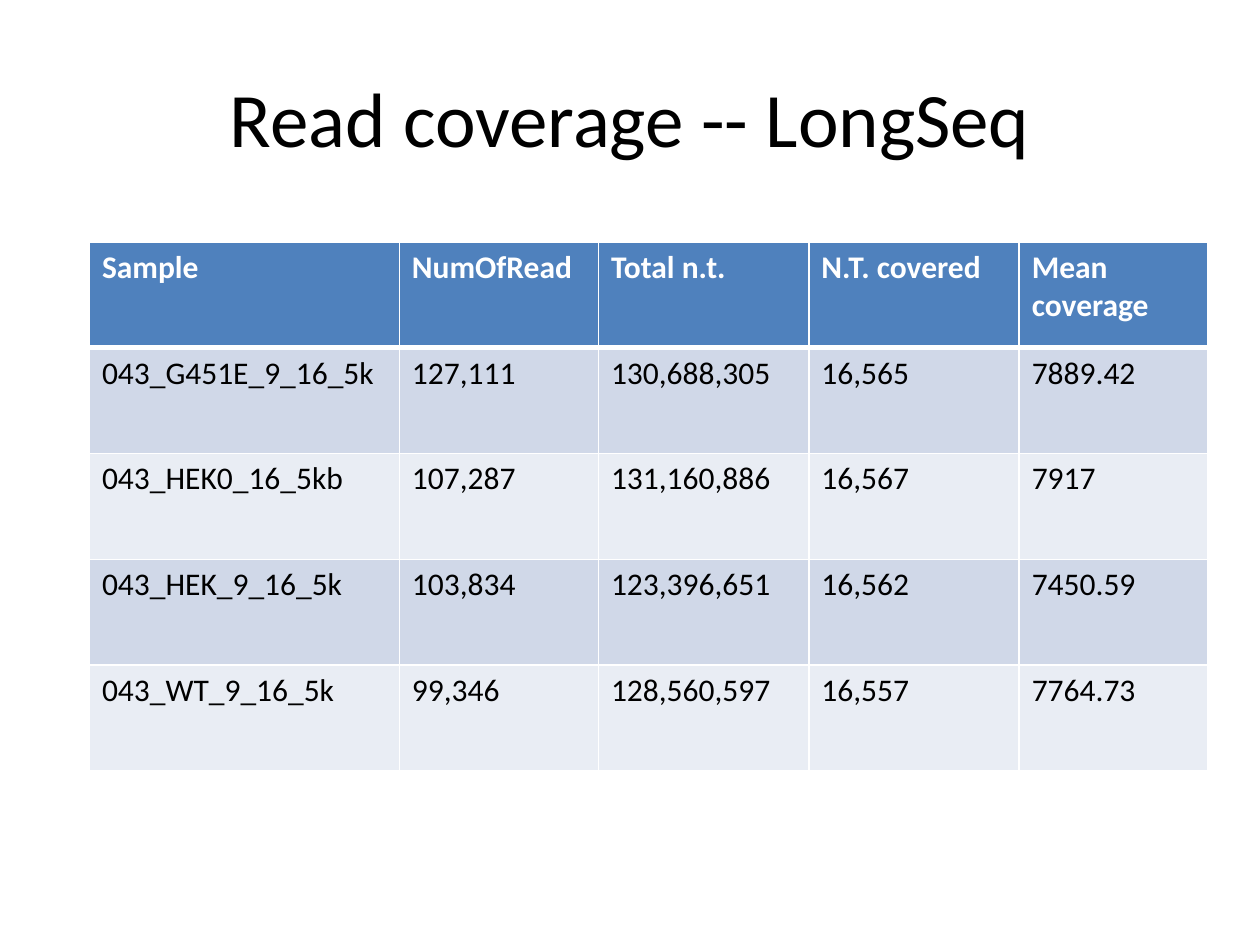
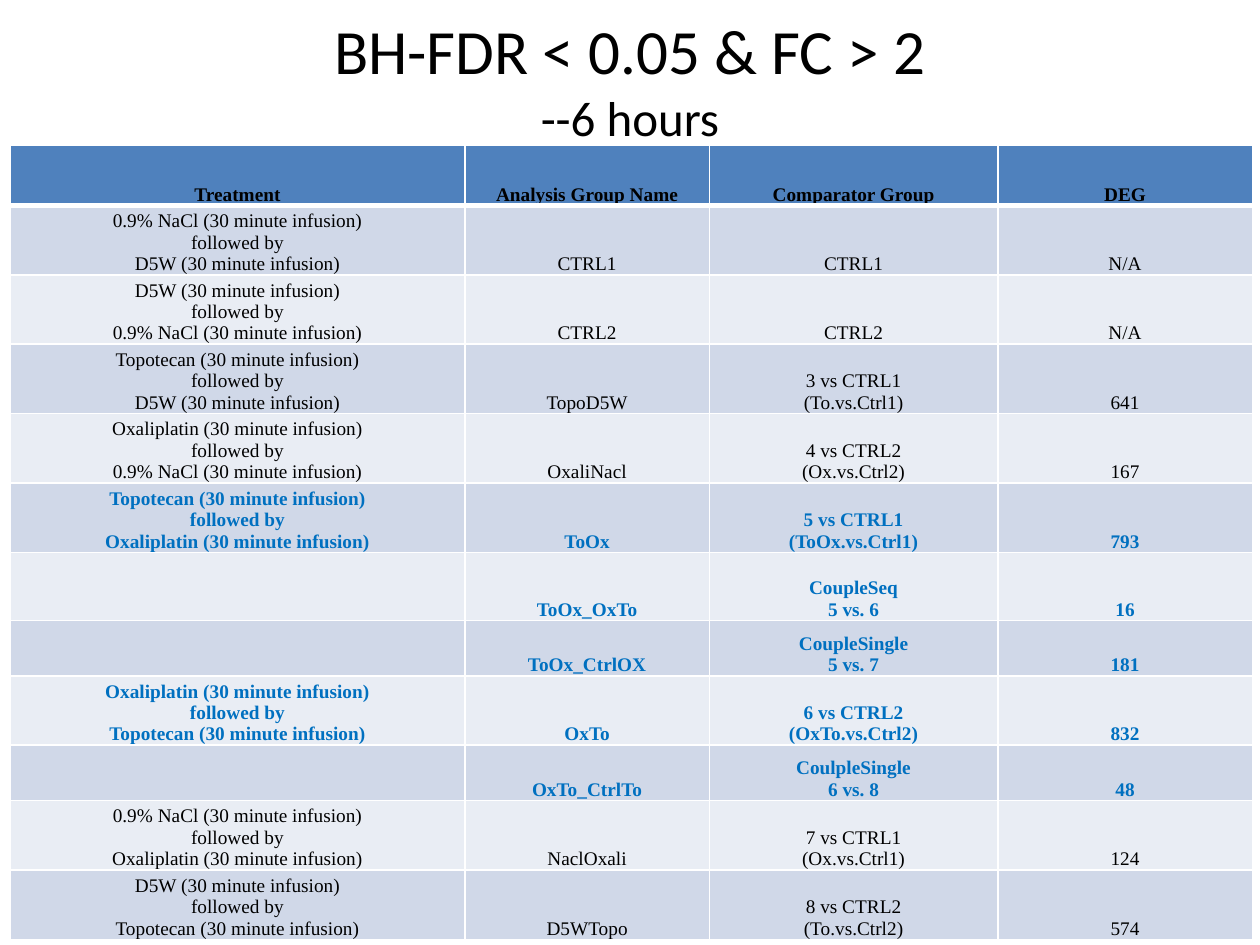
from dataclasses import dataclass

from lxml.etree import SubElement
from pptx import Presentation
from pptx.dml.color import RGBColor
from pptx.enum.text import MSO_ANCHOR, PP_ALIGN
from pptx.oxml.ns import qn
from pptx.slide import Slide
from pptx.table import _Cell
from pptx.util import Inches, Pt

BLACK = "000000"
WHITE = "FFFFFF"
HEADER_BLUE = "4F81BD"
BANDS = ("D0D8E8", "E9EDF4")
HIGHLIGHT_BLUE = "0070C0"
TITLE_FONT = "Calibri"
PLAIN_TABLE_STYLE = "{2D5ABB26-0587-4C30-8999-92F81FD0307C}"
THIN, THICK = 1, 3


@dataclass(frozen=True)
class TitleLine:
    """One line of a slide title."""

    text: str
    size: float


@dataclass(frozen=True)
class TableStyle:
    """Text settings of a table."""

    font: str
    size: float
    header_color: str
    alignment: PP_ALIGN
    anchor: MSO_ANCHOR
    side_margin: float
    end_margin: float


@dataclass(frozen=True)
class DataTable:
    """Place, contents and style of a table whose first row is the header."""

    left: float
    top: float
    widths: tuple[float, ...]
    heights: tuple[float, ...]
    rows: tuple[tuple[str, ...], ...]
    style: TableStyle
    highlighted: tuple[int, ...] = ()


COVERAGE_TABLE = DataTable(
    left=0.71,
    top=1.92,
    widths=(2.46, 1.58, 1.67, 1.67, 1.5),
    heights=(0.84,) * 5,
    rows=(
        ("Sample", "NumOfRead", "Total n.t.", "N.T. covered", "Mean coverage"),
        ("043_G451E_9_16_5k", "127,111", "130,688,305", "16,565", "7889.42"),
        ("043_HEK0_16_5kb", "107,287", "131,160,886", "16,567", "7917"),
        ("043_HEK_9_16_5k", "103,834", "123,396,651", "16,562", "7450.59"),
        ("043_WT_9_16_5k", "99,346", "128,560,597", "16,557", "7764.73"),
    ),
    style=TableStyle(TITLE_FONT, 18, WHITE, PP_ALIGN.LEFT, MSO_ANCHOR.TOP, 0.1, 0.05),
)


def infusions(first: str, second: str) -> str:
    """Describe two infusions given one after the other."""
    duration = "(30 minute infusion)"
    return f"{first} {duration}\nfollowed by\n{second} {duration}"


SALINE, DEXTROSE = "0.9% NaCl", "D5W"
TOPOTECAN, OXALIPLATIN = "Topotecan", "Oxaliplatin"

TREATMENT_TABLE = DataTable(
    left=0.08,
    top=1.15,
    widths=(3.61, 1.94, 2.29, 2.02),
    heights=(0.48, *(0.54,) * 6, 0.44, 0.54, 0.44, 0.54, 0.54),
    rows=(
        ("Treatment", "Analysis Group Name", "Comparator Group", "DEG"),
        (infusions(SALINE, DEXTROSE), "CTRL1", "CTRL1", "N/A"),
        (infusions(DEXTROSE, SALINE), "CTRL2", "CTRL2", "N/A"),
        (infusions(TOPOTECAN, DEXTROSE), "TopoD5W", "3 vs CTRL1\n(To.vs.Ctrl1)", "641"),
        (infusions(OXALIPLATIN, SALINE), "OxaliNacl", "4 vs CTRL2\n(Ox.vs.Ctrl2)", "167"),
        (infusions(TOPOTECAN, OXALIPLATIN), "ToOx", "5 vs CTRL1\n(ToOx.vs.Ctrl1)", "793"),
        ("", "ToOx_OxTo", "CoupleSeq\n5 vs. 6", "16"),
        ("", "ToOx_CtrlOX", "CoupleSingle\n5 vs. 7", "181"),
        (infusions(OXALIPLATIN, TOPOTECAN), "OxTo", "6 vs CTRL2\n(OxTo.vs.Ctrl2)", "832"),
        ("", "OxTo_CtrlTo", "CoulpleSingle\n6 vs. 8", "48"),
        (infusions(SALINE, OXALIPLATIN), "NaclOxali", "7 vs CTRL1\n(Ox.vs.Ctrl1)", "124"),
        (infusions(DEXTROSE, TOPOTECAN), "D5WTopo", "8 vs CTRL2\n(To.vs.Ctrl2)", "574"),
    ),
    style=TableStyle("Times New Roman", 11, BLACK, PP_ALIGN.CENTER, MSO_ANCHOR.BOTTOM, 0.07, 0),
    highlighted=(5, 6, 7, 8, 9),
)


def color(value: str) -> RGBColor:
    """Turn a hex string into a colour."""
    return RGBColor.from_string(value)


def add_title(slide: Slide, top: float, lines: tuple[TitleLine, ...]) -> None:
    """Add a centred title of one or more lines."""
    shape = slide.shapes.add_textbox(Inches(0.5), Inches(top), Inches(9), Inches(1.25))
    frame = shape.text_frame
    frame.word_wrap = True
    frame.vertical_anchor = MSO_ANCHOR.MIDDLE
    frame.text = "\n".join(line.text for line in lines)
    for paragraph, line in zip(frame.paragraphs, lines):
        paragraph.alignment = PP_ALIGN.CENTER
        paragraph.font.name = TITLE_FONT
        paragraph.font.size = Pt(line.size)
        paragraph.font.color.rgb = color(BLACK)


def set_borders(cell: _Cell, top: float, bottom: float) -> None:
    """Draw white borders with the given top and bottom widths in points."""
    properties = cell._tc.get_or_add_tcPr()
    for side, width in (("L", THIN), ("R", THIN), ("T", top), ("B", bottom)):
        line = SubElement(properties, qn(f"a:ln{side}"), w=str(Pt(width)))
        SubElement(SubElement(line, qn("a:solidFill")), qn("a:srgbClr"), val=WHITE)


def fill_cell(cell: _Cell, text: str, row: int, data: DataTable) -> None:
    """Write one cell and format it by its row."""
    style = data.style
    is_header = row == 0
    is_highlighted = row in data.highlighted
    set_borders(cell, THICK if row == 1 else THIN, THICK if is_header else THIN)
    cell.fill.solid()
    cell.fill.fore_color.rgb = color(HEADER_BLUE if is_header else BANDS[(row - 1) % 2])
    cell.margin_left = cell.margin_right = Inches(style.side_margin)
    cell.margin_top = cell.margin_bottom = Inches(style.end_margin)
    cell.vertical_anchor = style.anchor
    cell.text = text
    body_color = HIGHLIGHT_BLUE if is_highlighted else BLACK
    for paragraph in cell.text_frame.paragraphs:
        paragraph.alignment = style.alignment
        paragraph.font.name = style.font
        paragraph.font.size = Pt(style.size)
        paragraph.font.bold = is_header or is_highlighted
        paragraph.font.color.rgb = color(style.header_color if is_header else body_color)


def add_data_table(slide: Slide, data: DataTable) -> None:
    """Add a table with a header and banded rows."""
    shape = slide.shapes.add_table(
        len(data.heights), len(data.widths),
        Inches(data.left), Inches(data.top),
        Inches(sum(data.widths)), Inches(sum(data.heights)),
    )
    table = shape.table
    table._tbl.tblPr.find(qn("a:tableStyleId")).text = PLAIN_TABLE_STYLE
    for column, width in zip(table.columns, data.widths):
        column.width = Inches(width)
    for row, height in zip(table.rows, data.heights):
        row.height = Inches(height)
    for row_index, texts in enumerate(data.rows):
        for column_index, text in enumerate(texts):
            fill_cell(table.cell(row_index, column_index), text, row_index, data)


def main() -> None:
    """Build and save the presentation."""
    presentation = Presentation()
    presentation.slide_width = Inches(10)
    presentation.slide_height = Inches(7.5)
    blank = presentation.slide_layouts[6]

    coverage = presentation.slides.add_slide(blank)
    add_title(coverage, 0.3, (TitleLine("Read coverage -- LongSeq", 44),))
    add_data_table(coverage, COVERAGE_TABLE)

    treatments = presentation.slides.add_slide(blank)
    add_title(
        treatments, 0,
        (TitleLine("BH-FDR < 0.05 & FC > 2", 36), TitleLine("--6 hours", 28)),
    )
    add_data_table(treatments, TREATMENT_TABLE)

    presentation.save("out.pptx")


if __name__ == "__main__":
    main()
